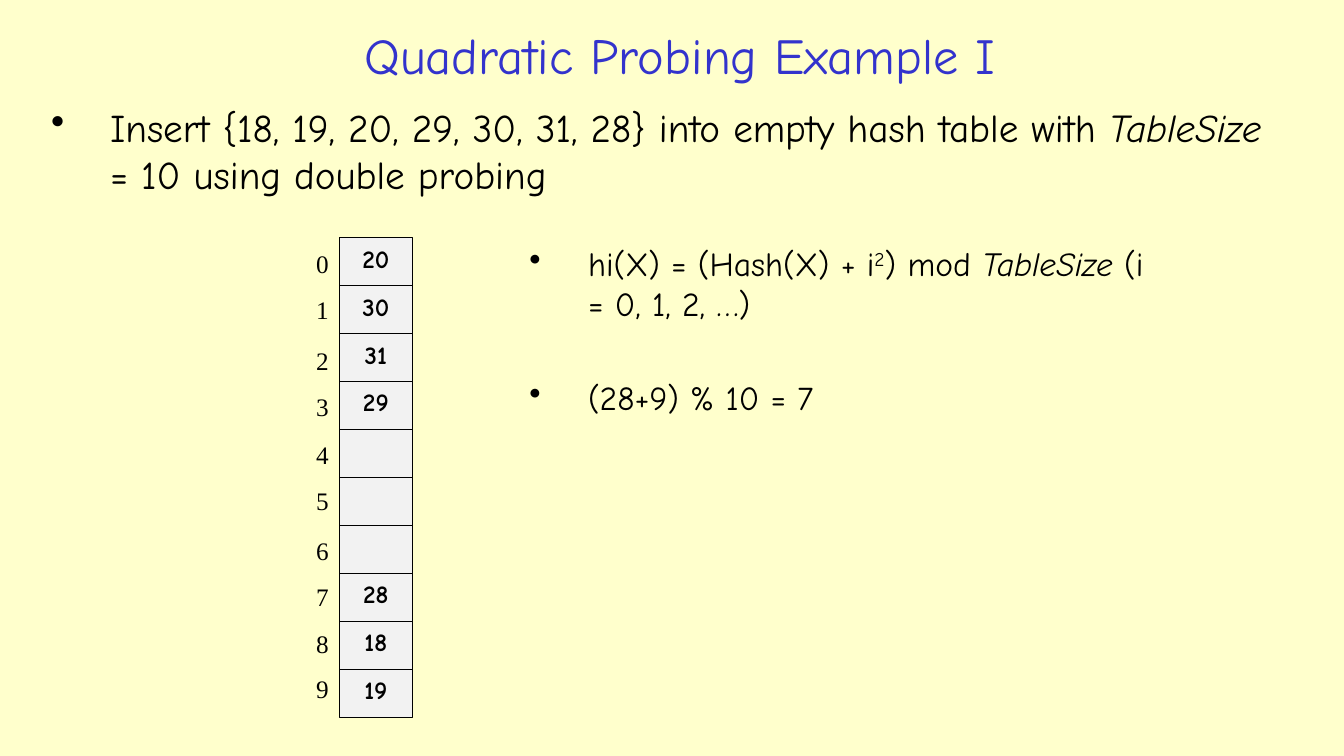
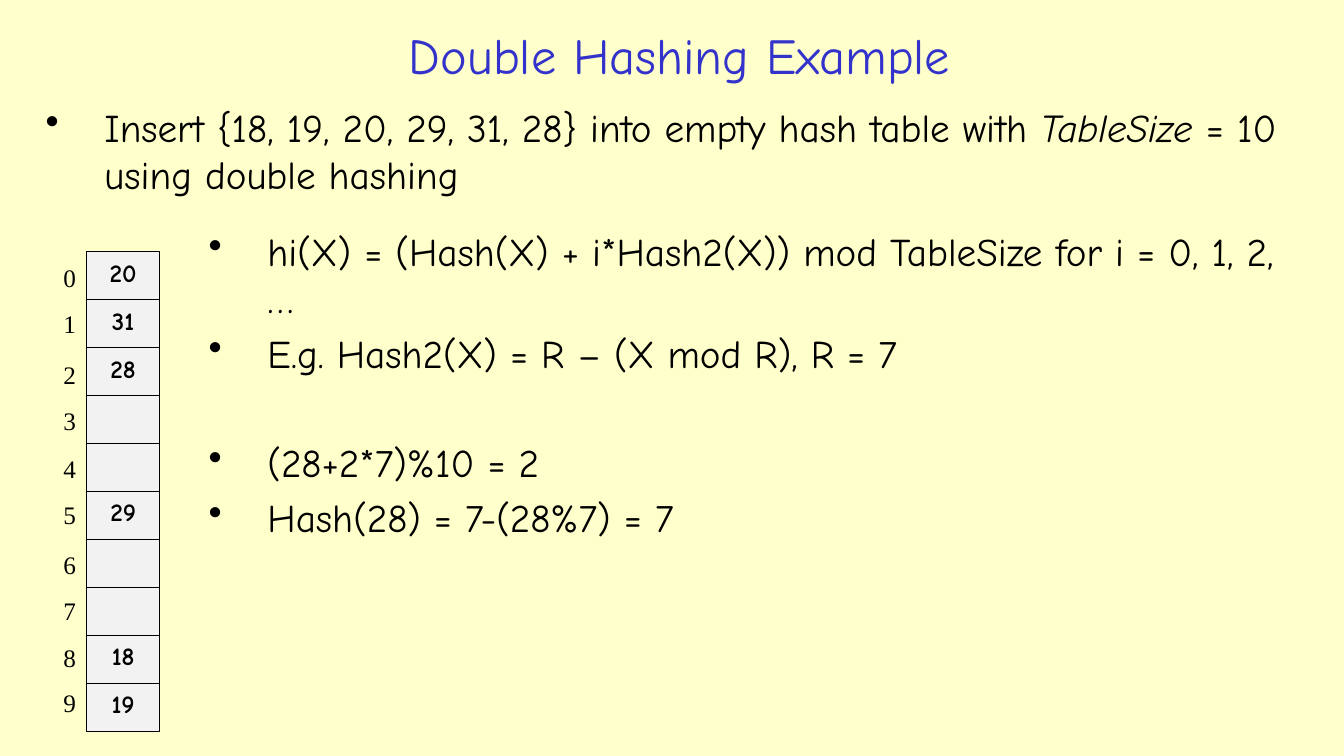
"""Build two slides that show hash tables filled by probing."""
from lxml import etree
from pptx import Presentation
from pptx import util as u
from pptx.dml.color import RGBColor
from pptx.enum import shapes, text
from pptx.oxml.ns import qn

Pt = u.Pt
HAND, SERIF = "Comic Neue", "Times New Roman"
INK, BLUE, GREY, CREAM = "000000", "3333CC", "F2F2F2", "FFFFCC"
INDENT = 42
ROW, WIDE = 34.25, 52
MARKS = [4, 37, 73, 106, 140, 173, 209, 242, 275, 307.5]


def style(font, size, name=HAND, color=INK, bold=False):
    font.size, font.name, font.bold = Pt(size), name, bold
    font.color.rgb = RGBColor.from_string(color)


def write(slide, box, paras, size, bullet=True, name=HAND, color=INK):
    """Add a text box; each paragraph is (lines skipped before it, runs)."""
    shape = slide.shapes.add_textbox(*map(Pt, box))
    frame = shape.text_frame
    frame.word_wrap = bullet
    for n, (skip, runs) in enumerate(paras):
        para = frame.paragraphs[0] if n == 0 else frame.add_paragraph()
        if n:
            para.space_before = Pt(round(size * (0.2 + 1.4 * skip), 1))
        if bullet:
            props = para._p.get_or_add_pPr()
            props.set("marL", str(Pt(INDENT)))
            props.set("indent", str(Pt(-INDENT)))
            etree.SubElement(props, qn("a:buChar")).set("char", "•")
        style(para.font, size, name, color)
        for words, look in runs:
            run = para.add_run()
            run.text = words
            if look == "italic":
                run.font.italic = True
            elif look == "super":
                run._r.get_or_add_rPr().set("baseline", "30000")
    return frame


pages = [
    {
        "title": "Quadratic Probing Example I",
        "task": [("Insert {18, 19, 20, 29, 30, 31, 28} into empty hash table with ", ""),
                 ("TableSize ", "italic"), ("= 10 using double probing", "")],
        "task_box": (29.5, 70, 895, 68),
        "table": (242.5, 170),
        "keys": {0: 20, 1: 30, 2: 31, 3: 29, 7: 28, 8: 18, 9: 19},
        "notes": [
            (0, [("hi(X) = (Hash(X) + i", ""), ("2", "super"), (") mod ", ""),
                 ("TableSize ", "italic"), ("(i = 0, 1, 2, …)", "")]),
            (1, [("(28+9) % 10 = 7", "")]),
        ],
        "note_box": (371, 170, 458, 252),
        "note_size": 24,
    },
    {
        "title": "Double Hashing Example",
        "task": [("Insert {18, 19, 20, 29, 31, 28} into empty hash table with ", ""),
                 ("TableSize ", "italic"), ("= 10 using double hashing", "")],
        "task_box": (25.5, 70, 918, 68),
        "table": (62, 180),
        "keys": {0: 20, 1: 31, 2: 28, 5: 29, 8: 18, 9: 19},
        "notes": [
            (0, [("hi(X) = (Hash(X) + i*Hash2(X)) mod TableSize for i = 0, 1, 2, …", "")]),
            (0, [("E.g. Hash2(X) = R – (X mod R), R = 7", "")]),
            (1, [("(28+2*7)%10 = 2", "")]),
            (0, [("Hash(28) = 7-(28%7) = 7", "")]),
        ],
        "note_box": (142, 158.5, 784, 364),
        "note_size": 28,
    },
]

deck = Presentation()
deck.slide_width, deck.slide_height = Pt(960), Pt(540)
back = deck.slide_master.background.fill
back.solid()
back.fore_color.rgb = RGBColor.from_string(CREAM)

for page in pages:
    slide = deck.slides.add_slide(deck.slide_layouts[6])
    title = write(slide, (142, 11, 687, 55), [(0, [(page["title"], "")])], 36, False, color=BLUE)
    title.word_wrap = True
    title.vertical_anchor = text.MSO_ANCHOR.MIDDLE
    title.paragraphs[0].alignment = text.PP_ALIGN.CENTER
    write(slide, page["task_box"], [(0, page["task"])], 28)
    write(slide, page["note_box"], page["notes"], page["note_size"])

    left, top = page["table"]
    for slot, mark in enumerate(MARKS):
        cell = slide.shapes.add_shape(shapes.MSO_SHAPE.RECTANGLE, Pt(left),
                                      Pt(top + slot * ROW), Pt(WIDE), Pt(ROW))
        cell.shadow.inherit = False
        cell.fill.solid()
        cell.fill.fore_color.rgb = RGBColor.from_string(GREY)
        cell.line.color.rgb = RGBColor.from_string(INK)
        cell.line.width = Pt(0.75)
        if slot in page["keys"]:
            frame = cell.text_frame
            frame.vertical_anchor = text.MSO_ANCHOR.TOP
            para = frame.paragraphs[0]
            para.text = str(page["keys"][slot])
            para.alignment = text.PP_ALIGN.CENTER
            style(para.font, 18, bold=True)
        write(slide, (left - 23.75, top + mark, 23.75, 29),
              [(0, [(str(slot), "")])], 18, False, SERIF)

deck.save("out.pptx")
